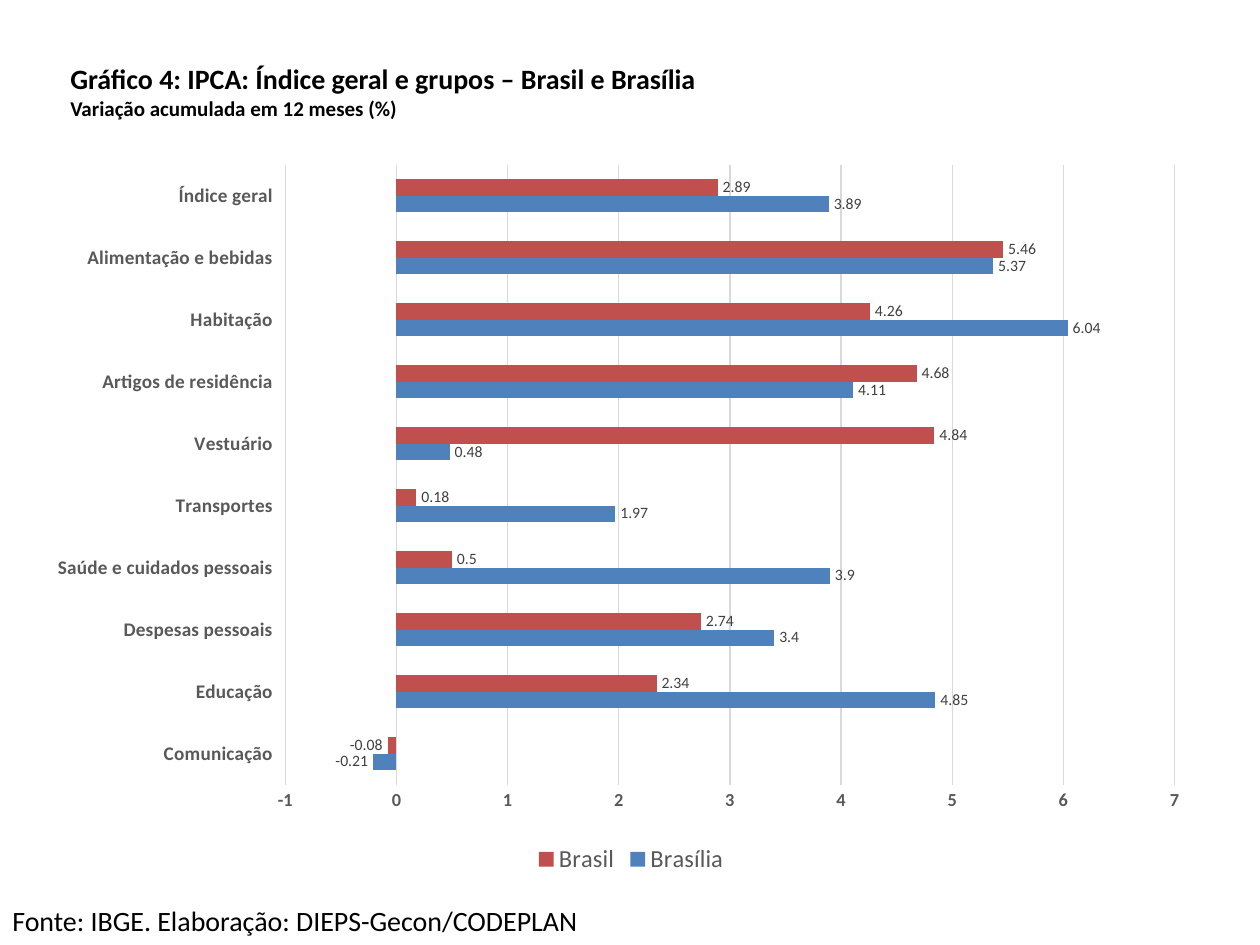
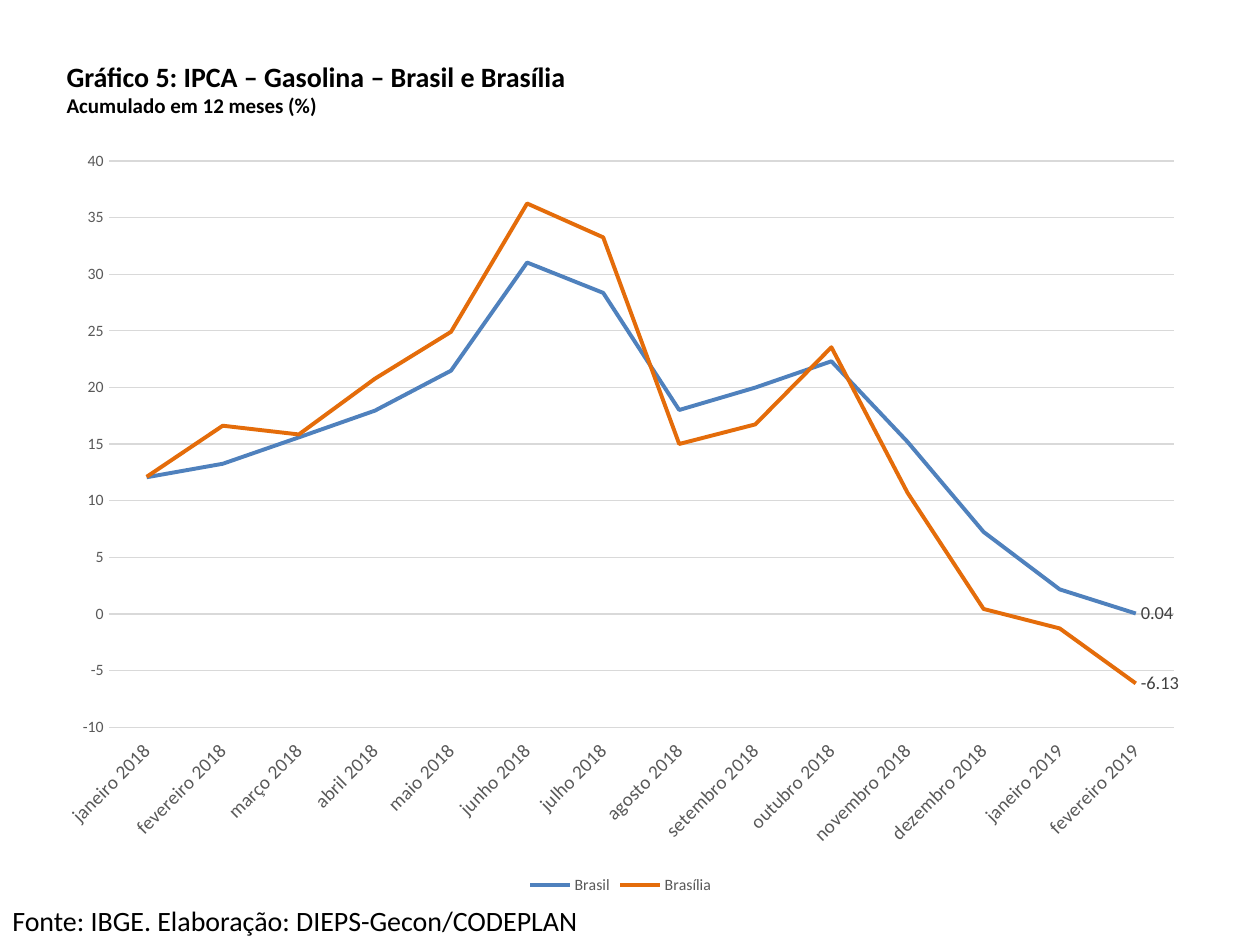
import pptx
import pptx.util
import pptx.chart.data
import pptx.dml.color
import pptx.enum.chart
import pptx.oxml

Inches = pptx.util.Inches
Pt = pptx.util.Pt
RGBColor = pptx.dml.color.RGBColor
XL = pptx.enum.chart

BLACK = RGBColor(0x00, 0x00, 0x00)
AXIS_GRAY = RGBColor(0x59, 0x59, 0x59)
LABEL_GRAY = RGBColor(0x40, 0x40, 0x40)
GRID_GRAY = RGBColor(0xD9, 0xD9, 0xD9)
BLUE = RGBColor(0x4F, 0x81, 0xBD)
RED = RGBColor(0xC0, 0x50, 0x4D)
ORANGE = RGBColor(0xE4, 0x6C, 0x0A)
FONT = "Calibri"
SOURCE = "Fonte: IBGE. Elaboração: DIEPS-Gecon/CODEPLAN"

GROUPS = ["Comunicação", "Educação", "Despesas pessoais",
          "Saúde e cuidados pessoais", "Transportes", "Vestuário",
          "Artigos de residência", "Habitação", "Alimentação e bebidas",
          "Índice geral"]
GROUP_SERIES = [
    ("Brasília", BLUE,
     [-0.21, 4.85, 3.4, 3.9, 1.97, 0.48, 4.11, 6.04, 5.37, 3.89]),
    ("Brasil", RED,
     [-0.08, 2.34, 2.74, 0.5, 0.18, 4.84, 4.68, 4.26, 5.46, 2.89]),
]

MONTHS = ["janeiro", "fevereiro", "março", "abril", "maio", "junho", "julho",
          "agosto", "setembro", "outubro", "novembro", "dezembro"]
PERIODS = [f"{m} 2018" for m in MONTHS] + [f"{m} 2019" for m in MONTHS[:2]]
GASOLINE_SERIES = [
    ("Brasil", BLUE, [12.07, 13.26, 15.59, 17.95, 21.48, 31.03, 28.35,
                      18.01, 19.99, 22.31, 15.2, 7.24, 2.17, 0.04]),
    ("Brasília", ORANGE, [12.11, 16.62, 15.85, 20.77, 24.91, 36.24, 33.25,
                          15.01, 16.74, 23.55, 10.71, 0.44, -1.28, -6.13]),
]


def style_font(font, size, color, bold=False):
    font.name = FONT
    font.size = Pt(size)
    font.bold = bold
    font.color.rgb = color


def add_text(slide, box, lines, bold=False):
    """Write (text, size) lines, one paragraph each."""
    tf = slide.shapes.add_textbox(*map(Inches, box)).text_frame
    tf.word_wrap = True
    for i, (text, size) in enumerate(lines):
        p = tf.add_paragraph() if i else tf.paragraphs[0]
        p.text = text
        style_font(p.runs[0].font, size, BLACK, bold)


def add_frame(prs, left, top, title, subtitle):
    """Blank slide with the source footer and the two-line title."""
    slide = prs.slides.add_slide(prs.slide_layouts[6])
    add_text(slide, (0, 7.12, 10, 0.37), [(SOURCE, 16)])
    add_text(slide, (left, top, 10, 0.57), [(title, 16), (subtitle, 12)], True)
    return slide


def set_plot_area(chart, x, y, w, h):
    """Fix the inner plot area, as fractions of the chart."""
    plot_area = chart._chartSpace.chart.plotArea
    for old in plot_area.findall(pptx.oxml.ns.qn("c:layout")):
        plot_area.remove(old)
    ns = pptx.oxml.ns.nsdecls("c")
    plot_area.insert(0, pptx.oxml.parse_xml(
        f'<c:layout {ns}><c:manualLayout><c:layoutTarget val="inner"/>'
        '<c:xMode val="edge"/><c:yMode val="edge"/>'
        f'<c:x val="{x}"/><c:y val="{y}"/><c:w val="{w}"/><c:h val="{h}"/>'
        '</c:manualLayout></c:layout>'))


def add_chart(slide, kind, box, categories, series, plot_area, scale,
              value_size, legend_size, bold_axes=False):
    """Chart with the shared axis, grid and legend style."""
    data = pptx.chart.data.CategoryChartData()
    data.categories = categories
    for name, _, values in series:
        data.add_series(name, values)
    chart = slide.shapes.add_chart(kind, *map(Inches, box), data).chart
    chart.has_title = False
    style_font(chart.font, 10, BLACK)
    set_plot_area(chart, *plot_area)
    chart.plots[0].vary_by_categories = False

    # Axes
    cat, val = chart.category_axis, chart.value_axis
    for axis, size in ((cat, 11), (val, value_size)):
        axis.major_tick_mark = axis.minor_tick_mark = XL.XL_TICK_MARK.NONE
        style_font(axis.tick_labels.font, size, AXIS_GRAY, bold_axes)
    cat.tick_label_position = XL.XL_TICK_LABEL_POSITION.LOW
    cat.has_major_gridlines = False
    val.has_major_gridlines = True
    val.minimum_scale, val.maximum_scale, val.major_unit = scale
    val.format.line.fill.background()
    for line in (cat.format.line, val.major_gridlines.format.line):
        line.color.rgb = GRID_GRAY
        line.width = Pt(0.75)

    # Legend
    chart.has_legend = True
    chart.legend.position = XL.XL_LEGEND_POSITION.BOTTOM
    chart.legend.include_in_layout = False
    style_font(chart.legend.font, legend_size, AXIS_GRAY)
    return chart


def groups_slide(prs):
    slide = add_frame(prs, 0.46, 0.44,
                      "Gráfico 4: IPCA: Índice geral e grupos – Brasil e Brasília",
                      "Variação acumulada em 12 meses (%)")
    chart = add_chart(slide, XL.XL_CHART_TYPE.BAR_CLUSTERED,
                      (0.46, 1.15, 9.08, 5.83), GROUPS, GROUP_SERIES,
                      (0.197, 0.027, 0.779, 0.844), (-1, 7, 1),
                      10.5, 14, bold_axes=True)
    plot = chart.plots[0]
    plot.gap_width = 182
    plot.overlap = 0
    for s, (_, color, _) in zip(plot.series, GROUP_SERIES):
        s.invert_if_negative = False
        s.format.fill.solid()
        s.format.fill.fore_color.rgb = color
        labels = s.data_labels
        labels.show_value = True
        labels.position = XL.XL_LABEL_POSITION.OUTSIDE_END
        style_font(labels.font, 9, LABEL_GRAY)


def gasoline_slide(prs):
    slide = add_frame(prs, 0.43, 0.42,
                      "Gráfico 5: IPCA – Gasolina – Brasil e Brasília",
                      "Acumulado em 12 meses (%)")
    chart = add_chart(slide, XL.XL_CHART_TYPE.LINE,
                      (0.35, 1.09, 9.15, 6.05), PERIODS, GASOLINE_SERIES,
                      (0.056, 0.031, 0.924, 0.743), (-10, 40, 5), 9, 9)
    # Slanted month names
    body = chart.category_axis._element.txPr.find(pptx.oxml.ns.qn("a:bodyPr"))
    body.set("rot", "-2700000")
    body.set("vert", "horz")
    for s, (_, color, _) in zip(chart.plots[0].series, GASOLINE_SERIES):
        s.smooth = False
        s.marker.style = XL.XL_MARKER_STYLE.NONE
        s.format.line.color.rgb = color
        s.format.line.width = Pt(2.25)
        # Only the latest month is labelled
        label = s.points[len(PERIODS) - 1].data_label
        style_font(label.font, 10.5, LABEL_GRAY)
        label.position = XL.XL_LABEL_POSITION.RIGHT


def main():
    prs = pptx.Presentation()
    prs.slide_width = Inches(10)
    prs.slide_height = Inches(7.5)
    groups_slide(prs)
    gasoline_slide(prs)
    prs.save("out.pptx")


if __name__ == "__main__":
    main()
